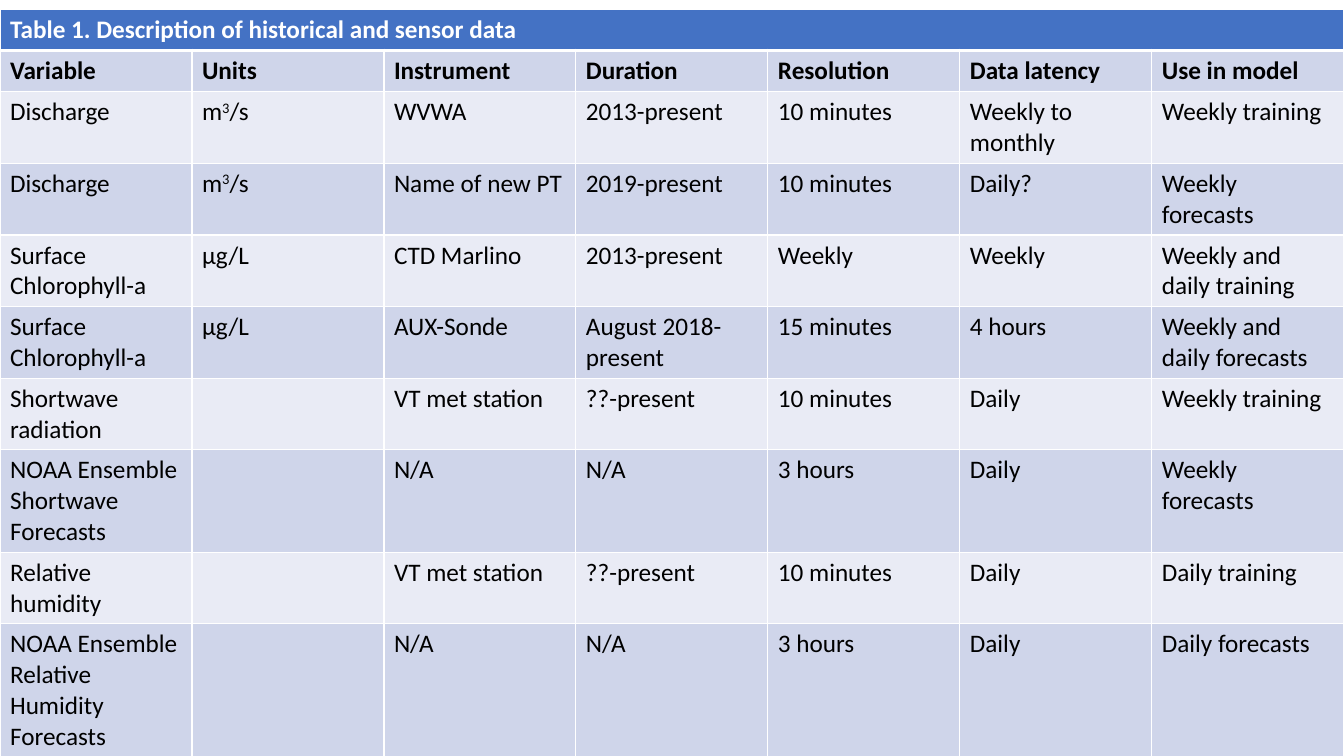
import pptx
import pptx.util
import pptx.dml.color
import pptx.oxml
import pptx.oxml.ns
from pptx.util import Inches

RGB = pptx.dml.color.RGBColor
WHITE = RGB(0xFF, 0xFF, 0xFF)
BLACK = RGB(0x00, 0x00, 0x00)
BLUE = RGB(0x44, 0x72, 0xC4)
DARK = RGB(0xCF, 0xD5, 0xEA)
LIGHT = RGB(0xE9, 0xEB, 0xF5)

TITLE = "Table 1. Description of historical and sensor data"
HEADS = ["Variable", "Units", "Instrument", "Duration", "Resolution",
         "Data latency", "Use in model"]
# A caret marks the next character as superscript
ROWS = [
    ["Discharge", "m^3/s", "WVWA", "2013-present", "10 minutes",
     "Weekly to monthly", "Weekly training"],
    ["Discharge", "m^3/s", "Name of new PT", "2019-present", "10 minutes",
     "Daily?", "Weekly forecasts"],
    ["Surface Chlorophyll-a", "µg/L", "CTD Marlino", "2013-present", "Weekly",
     "Weekly", "Weekly and daily training"],
    ["Surface Chlorophyll-a", "µg/L", "AUX-Sonde", "August 2018-present",
     "15 minutes", "4 hours", "Weekly and daily forecasts"],
    ["Shortwave radiation", "", "VT met station", "??-present", "10 minutes",
     "Daily", "Weekly training"],
    ["NOAA Ensemble Shortwave Forecasts", "", "N/A", "N/A", "3 hours",
     "Daily", "Weekly forecasts"],
    ["Relative humidity", "", "VT met station", "??-present", "10 minutes",
     "Daily", "Daily training"],
    ["NOAA Ensemble Relative Humidity Forecasts", "", "N/A", "N/A", "3 hours",
     "Daily", "Daily forecasts"],
]


class Deck:
    """Holds the style and the current slide."""

    font = "Calibri"
    size = pptx.util.Pt(18)

    def __init__(self, wide, high):
        self.prs = pptx.Presentation()
        self.prs.slide_width = Inches(wide)
        self.prs.slide_height = Inches(high)
        self.slide = self.prs.slides.add_slide(self.prs.slide_layouts[6])

    def grid(self, rows, cols, left, top, wide, high):
        frame = self.slide.shapes.add_table(
            rows, cols, Inches(left), Inches(top), Inches(wide), Inches(high))
        return frame.table

    def border(self, cell, **widths):
        props = cell._tc.get_or_add_tcPr()
        for side in "LRTB":
            line = pptx.oxml.parse_xml(
                f'<a:ln{side} {pptx.oxml.ns.nsdecls("a")} '
                f'w="{pptx.util.Pt(widths.get(side, 1))}">'
                f'<a:solidFill><a:srgbClr val="{WHITE}"/></a:solidFill>'
                f'</a:ln{side}>')
            props.append(line)

    def cell(self, cell, text, fill, color=BLACK, bold=False, **widths):
        self.border(cell, **widths)
        cell.fill.solid()
        cell.fill.fore_color.rgb = fill
        para = cell.text_frame.paragraphs[0]
        font = para.font
        font.name, font.size, font.bold = self.font, self.size, bold
        font.color.rgb = color
        base, *rest = text.split("^")
        if base:
            para.add_run().text = base
        for part in rest:
            power = para.add_run()
            power.text = part[0]
            power.font._element.set("baseline", "30000")
            para.add_run().text = part[1:]
        # Bold is also kept on each run, over the table style
        for run in para.runs:
            run.font.bold = bold

    def save(self):
        self.prs.save("out.pptx")


def main():
    deck = Deck(13.33, 7.5)
    count = len(ROWS) + 2
    table = deck.grid(count, len(HEADS), 0, 0.09, 13.33, 0.41 * count)

    # Title row across all columns
    table.cell(0, 0).merge(table.cell(0, len(HEADS) - 1))
    for cell in table.rows[0].cells:
        text = TITLE if cell.is_merge_origin else ""
        deck.cell(cell, text, BLUE, WHITE, True, B=3)

    # Column heads and banded body
    for r, row in enumerate([HEADS] + ROWS, 1):
        fill = DARK if r % 2 else LIGHT
        for c, text in enumerate(row):
            top = 3 if r == 1 else 1
            deck.cell(table.cell(r, c), text, fill, bold=r == 1, T=top)

    deck.save()


if __name__ == "__main__":
    main()
